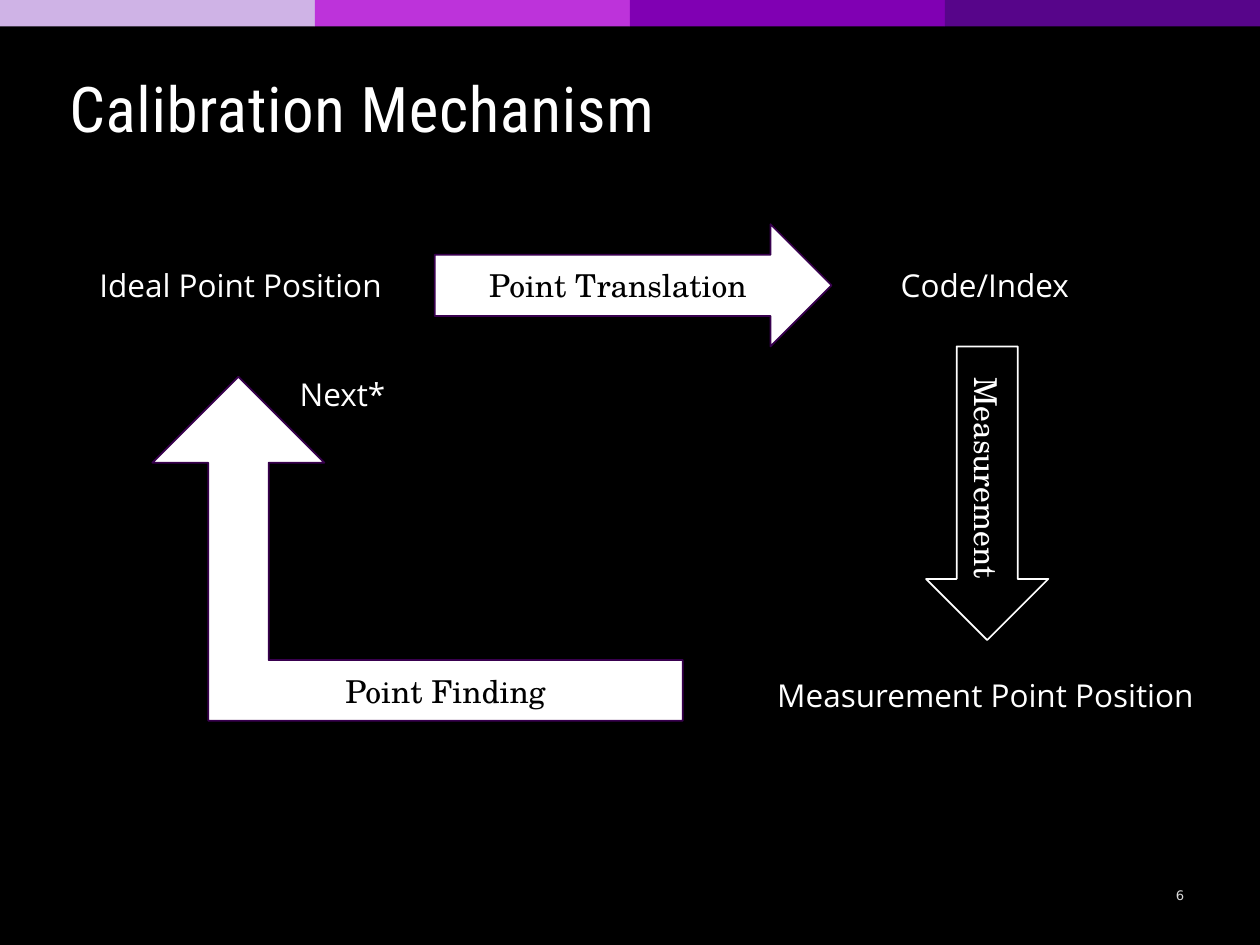
from pptx import Presentation
from pptx.dml.color import RGBColor
from pptx.enum.shapes import MSO_SHAPE
from pptx.enum.text import MSO_ANCHOR, MSO_AUTO_SIZE, PP_ALIGN
from pptx.util import Inches, Pt

RECT = MSO_SHAPE.RECTANGLE
ARROW = MSO_SHAPE.RIGHT_ARROW
BENT = MSO_SHAPE.BENT_UP_ARROW
MIDDLE, BOTTOM = MSO_ANCHOR.MIDDLE, MSO_ANCHOR.BOTTOM
LEFT, CENTER = PP_ALIGN.LEFT, PP_ALIGN.CENTER
GROW = MSO_AUTO_SIZE.SHAPE_TO_FIT_TEXT

WHITE, BLACK, EDGE, GRAY = "FFFFFF", "000000", "38004E", "D9D9D9"
BANDS = ["CFB3E6", "BD33DA", "8000B3", "57058A"]
HEAD, BODY, SERIF, SMALL = "Roboto Condensed", "Open Sans", "TeX Gyre Schola", "DejaVu Sans"


def color(code):
    return RGBColor.from_string(code)


class Deck:
    """Slide on a grid of 100 columns by 75 rows."""

    def __init__(self):
        self.deck = Presentation()
        self.deck.slide_width, self.deck.slide_height = Inches(10), Inches(7.5)
        self.slide = self.deck.slides.add_slide(self.deck.slide_layouts[6])
        back = self.slide.background.fill
        back.solid()
        back.fore_color.rgb = color(BLACK)

    def place(self, col, row, cols, rows):
        wide, high = self.deck.slide_width / 100, self.deck.slide_height / 75
        return [round(n) for n in (col * wide, row * high, cols * wide, rows * high)]

    def label(self, shape, text, font, size, ink, align):
        para = shape.text_frame.paragraphs[0]
        para.text = text
        para.alignment = align
        run = para.runs[0]
        run.font.name, run.font.size = font, Pt(size)
        run.font.color.rgb = color(ink)

    def block(self, kind, box, fill=None, line=None):
        shape = self.slide.shapes.add_shape(kind, *self.place(*box))
        shape.shadow.inherit = False
        if fill:
            shape.fill.solid()
            shape.fill.fore_color.rgb = color(fill)
        else:
            shape.fill.background()
        if line:
            shape.line.color.rgb = color(line)
            shape.line.width = Pt(1)
        else:
            shape.line.fill.background()
        return shape

    def arrow(self, kind, box, text, ink=BLACK, fill=WHITE, line=EDGE):
        shape = self.block(kind, box, fill, line)
        shape.text_frame.word_wrap = True
        shape.text_frame.vertical_anchor = MIDDLE
        self.label(shape, text, SERIF, 18, ink, CENTER)
        return shape

    def text(self, box, text, font=BODY, size=18, ink=WHITE, align=LEFT, anchor=None):
        shape = self.slide.shapes.add_textbox(*self.place(*box))
        frame = shape.text_frame
        frame.word_wrap = True
        if anchor is None:
            frame.auto_size = GROW
        else:
            frame.vertical_anchor = anchor
        self.label(shape, text, font, size, ink, align)
        return shape

    def title(self, box, text):
        shape = self.text(box, text, HEAD, 36, anchor=BOTTOM)
        shape.text_frame.margin_left = 0
        run = shape.text_frame.paragraphs[0].runs[0]
        run.font._element.set("spc", "40")

    def save(self):
        self.deck.save("out.pptx")


def main():
    deck = Deck()
    step = 100 / len(BANDS)
    for i, fill in enumerate(BANDS):
        deck.block(RECT, (i * step, 0, step, 2.1), fill)
    deck.text((91.4, 69.7, 4.5, 2.7), "6", SMALL, 7.5, GRAY, CENTER, MIDDLE)
    deck.title((5.5, 5.4, 60.5, 6.6), "Calibration Mechanism")

    deck.text((6.9, 20.6, 25.5, 4), "Ideal Point Position")
    deck.arrow(ARROW, (34.5, 17.8, 31.5, 9.7), "Point Translation")
    deck.text((70.5, 20.6, 25.5, 4), "Code/Index")
    down = deck.arrow(ARROW, (66.7, 34.3, 23.3, 9.7), "Measurement", WHITE, None, WHITE)
    down.rotation = 90
    deck.text((60.7, 53.2, 35.3, 4), "Measurement Point Position")
    back = deck.arrow(BENT, (12.1, 29.9, 42.1, 27.3), "Point Finding")
    back.adjustments[0] = 0.176
    back._element.spPr.xfrm.set("flipH", "1")
    deck.text((22.8, 29.3, 10.4, 4), "Next*")
    deck.save()


if __name__ == "__main__":
    main()
